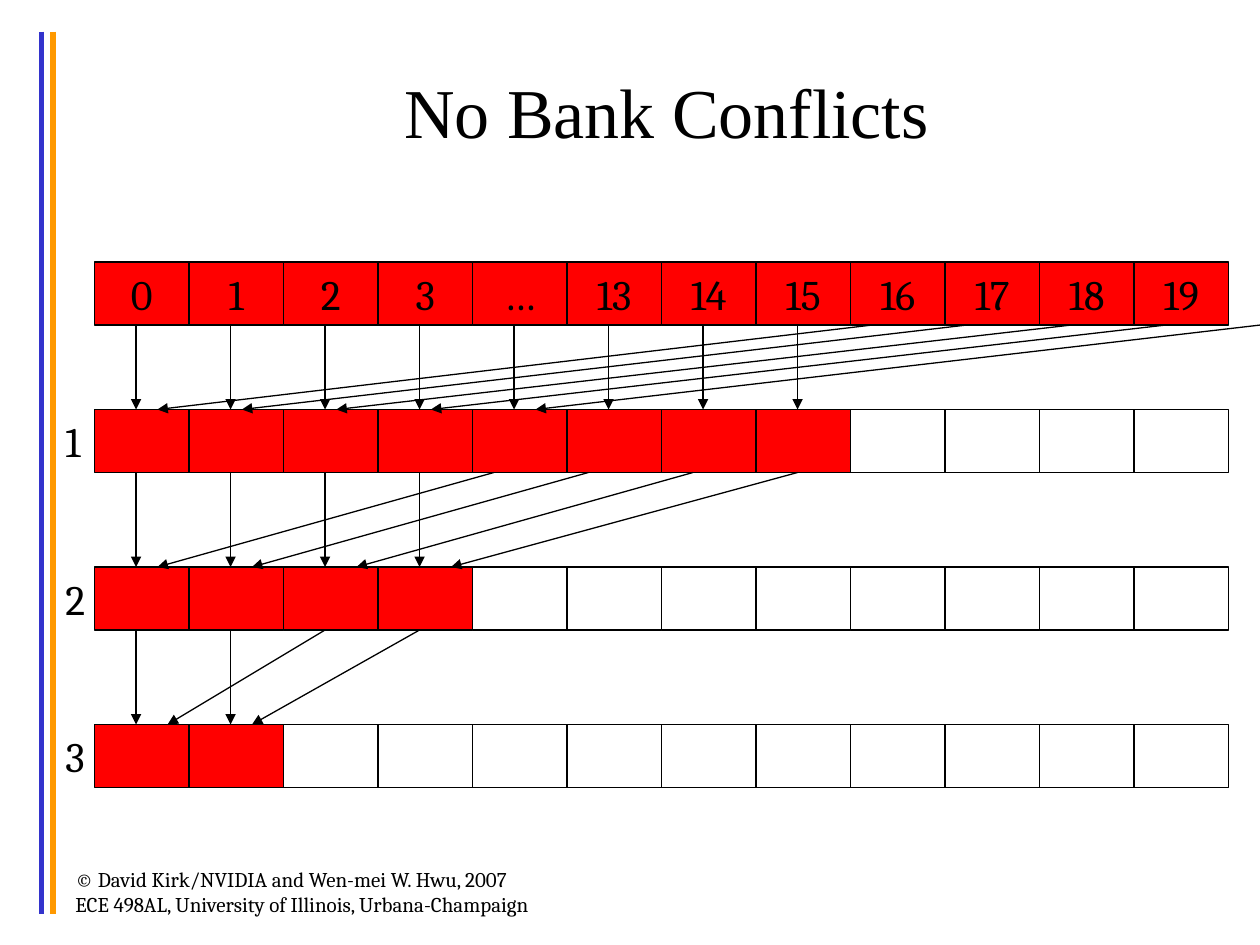
from lxml import etree
from pptx import Presentation
from pptx.dml.color import RGBColor
from pptx.enum.shapes import MSO_CONNECTOR, MSO_SHAPE
from pptx.enum.text import MSO_ANCHOR, MSO_AUTO_SIZE, PP_ALIGN
from pptx.oxml.ns import qn
from pptx.util import Inches, Pt

STRAIGHT = MSO_CONNECTOR.STRAIGHT
RECTANGLE = MSO_SHAPE.RECTANGLE
MIDDLE = MSO_ANCHOR.MIDDLE
CENTER = PP_ALIGN.CENTER
LEFT = PP_ALIGN.LEFT
FIT_SHAPE = MSO_AUTO_SIZE.SHAPE_TO_FIT_TEXT

COLORS = {"black": "000000", "red": "FF0000", "blue": "3333CC", "orange": "FF9900"}


def add_line(start, end, color, width, arrow=False):
    line = page.shapes.add_connector(
        STRAIGHT, Inches(start[0]), Inches(start[1]), Inches(end[0]), Inches(end[1]))
    line.line.color.rgb = RGBColor.from_string(COLORS[color])
    line.line.width = Pt(width)
    if arrow:
        etree.SubElement(line.line._get_or_add_ln(), qn("a:tailEnd"), type="triangle")
    etree.SubElement(line._element.spPr, qn("a:effectLst"))


def add_text(para, text, size, align, font="Cambria"):
    para.alignment = align
    span = para.add_run()
    span.text = text
    span.font.size = Pt(size)
    span.font.name = font
    span.font.color.rgb = RGBColor.from_string(COLORS["black"])


deck = Presentation()
deck.slide_width = Inches(10)
deck.slide_height = Inches(7.5)
page = deck.slides.add_slide(deck.slide_layouts[5])

for x, color in [(0.33, "blue"), (0.42, "orange")]:
    add_line((x, 0.25), (x, 7.25), color, 3)

credit = page.shapes.add_textbox(Inches(0.5), Inches(6.83), Inches(4.33), Inches(0.5))
credit.text_frame.word_wrap = True
add_text(credit.text_frame.paragraphs[0],
         "© David Kirk/NVIDIA and Wen-mei W. Hwu, 2007", 12, LEFT)
add_text(credit.text_frame.add_paragraph(),
         "ECE 498AL, University of Illinois, Urbana-Champaign", 12, LEFT)

title = page.shapes.title
title.left, title.top = Inches(0.75), Inches(0.25)
title.width, title.height = Inches(9.08), Inches(1.25)
title.text_frame.vertical_anchor = MIDDLE
add_text(title.text_frame.paragraphs[0], "No Bank Conflicts", 40, CENTER, "Times New Roman")

grid_left, cell_width, cell_height = 0.75, 0.75, 0.5
row_tops = [2.08, 3.25, 4.5, 5.75]
active_counts = [12, 8, 4, 2]
indices = ["0", "1", "2", "3", "…", "13", "14", "15", "16", "17", "18", "19"]

for row, (top, active) in enumerate(zip(row_tops, active_counts)):
    for column, index in enumerate(indices):
        cell = page.shapes.add_shape(
            RECTANGLE, Inches(grid_left + column * cell_width), Inches(top),
            Inches(cell_width), Inches(cell_height))
        cell.shadow.inherit = False
        cell.line.color.rgb = RGBColor.from_string(COLORS["black"])
        cell.line.width = Pt(0.75)
        if column < active:
            cell.fill.solid()
            cell.fill.fore_color.rgb = RGBColor.from_string(COLORS["red"])
        else:
            cell.fill.background()
        if row == 0:
            cell.text_frame.word_wrap = False
            cell.text_frame.vertical_anchor = MIDDLE
            add_text(cell.text_frame.paragraphs[0], index, 24, CENTER)
    if row > 0:
        label = page.shapes.add_textbox(
            Inches(0.42), Inches(top), Inches(0.36), Inches(cell_height))
        label.text_frame.word_wrap = False
        label.text_frame.auto_size = FIT_SHAPE
        add_text(label.text_frame.paragraphs[0], str(row), 24, LEFT)

slanted_arrows = [
    [(6.92, 1.25), (7.67, 1.92), (8.5, 2.67), (9.25, 3.42), (10, 4.25)],
    [(3.92, 1.25), (4.67, 2), (5.5, 2.83), (6.33, 3.58)],
    [(2.58, 1.33), (3.33, 2)],
]
for row, slanted in enumerate(slanted_arrows):
    start_y = row_tops[row] + cell_height
    end_y = row_tops[row + 1]
    straight = [(1.08 + column * cell_width,) * 2 for column in range(active_counts[row + 1])]
    for start_x, end_x in straight + slanted:
        add_line((start_x, start_y), (end_x, end_y), "black", 0.75, arrow=True)

deck.save("out.pptx")
